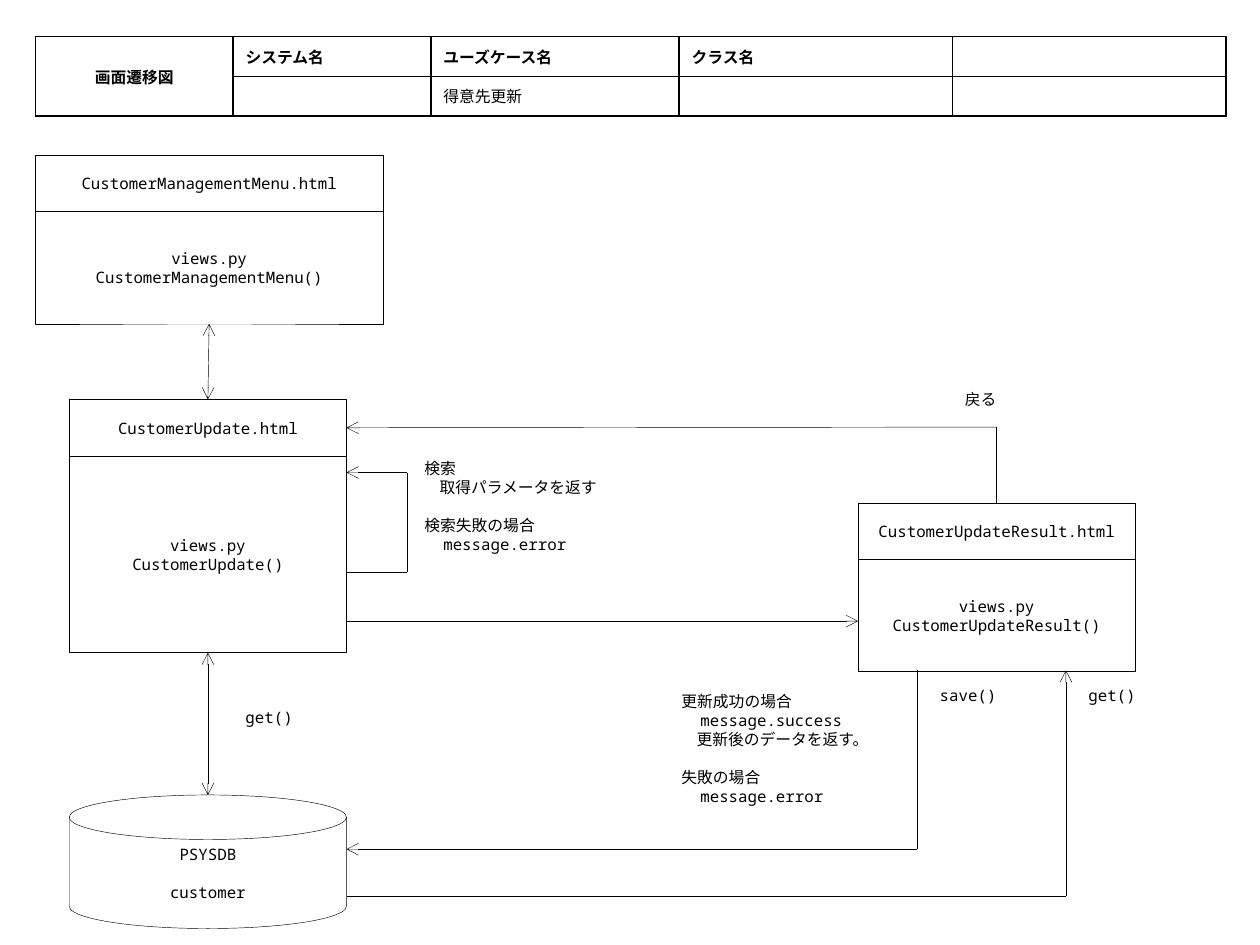
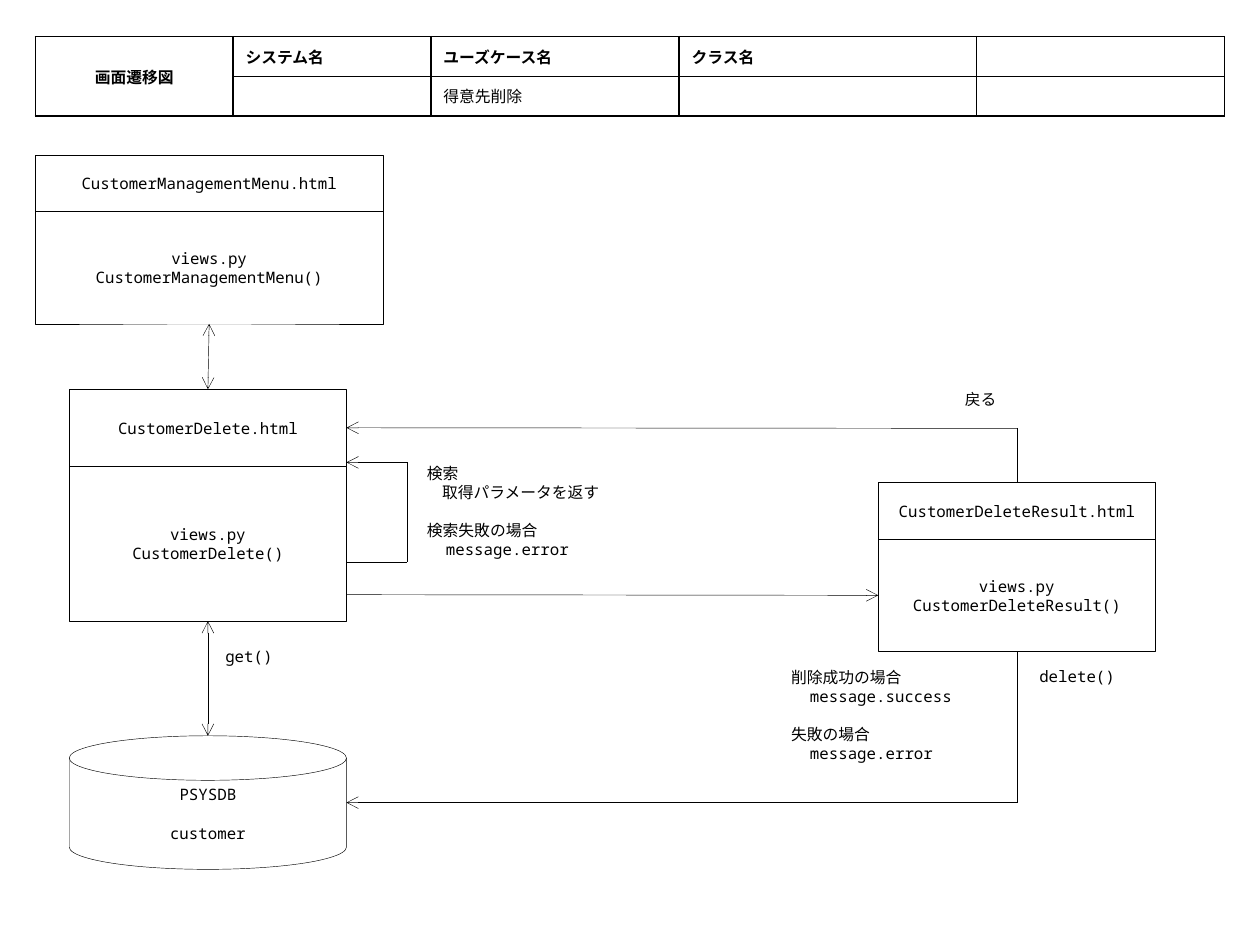
from lxml.etree import SubElement
from pptx import Presentation
from pptx.dml.color import RGBColor
from pptx.enum.shapes import MSO_CONNECTOR, MSO_SHAPE
from pptx.enum.text import MSO_ANCHOR as Anchor, PP_ALIGN as Align
from pptx.oxml.ns import qn
from pptx.util import Inches, Pt

BLACK, WHITE = "000000", "FFFFFF"
SANS, MONO = "Noto Sans CJK JP", "Noto Sans Mono"
TEXT_SIZE = 9
BLANK_LINE = 11
HAIRLINE = 0.25
LEFT_MARGIN = 0.28
MENU_WIDTH, SCREEN_WIDTH = 2.76, 2.2
SCREEN_LEFT = 0.55
SCREEN_RIGHT = SCREEN_LEFT + SCREEN_WIDTH
SCREEN_MIDDLE = SCREEN_LEFT + SCREEN_WIDTH / 2
TITLE_HEIGHT, BODY_HEIGHT = 0.45, 0.89
MENU_TOP = 1.23
MENU_BOTTOM = MENU_TOP + TITLE_HEIGHT + BODY_HEIGHT
DISK_HEIGHT = 1.06
LOOP_RIGHT, LOOP_HEIGHT = 3.23, 0.79
KANA_INDENT, CODE_INDENT = 0.12, 0.15
TOP, LEFT, BOTTOM, RIGHT = 0, 1, 2, 3

SEARCH_NOTE = [
    ("検索", 0, 0),
    ("取得パラメータを返す", KANA_INDENT, 0),
    ("検索失敗の場合", 0, BLANK_LINE),
    ("message.error", CODE_INDENT, 0),
]
FAILURE_NOTE = [
    ("失敗の場合", 0, BLANK_LINE),
    ("message.error", CODE_INDENT, 0),
]
UPDATE_NOTE = [
    ("更新成功の場合", 0, 0),
    ("message.success", CODE_INDENT, 0),
    ("更新後のデータを返す。", KANA_INDENT, 0),
] + FAILURE_NOTE
DELETE_NOTE = [
    ("削除成功の場合", 0, 0),
    ("message.success", CODE_INDENT, 0),
] + FAILURE_NOTE


def rgb(value):
    return RGBColor.from_string(value)


def style(paragraph, face, bold=False, align=Align.LEFT):
    paragraph.alignment = align
    font = paragraph.font
    font.size, font.name, font.bold = Pt(TEXT_SIZE), face, bold
    font.color.rgb = rgb(BLACK)
    defaults = paragraph._p.pPr.find(qn("a:defRPr"))
    SubElement(defaults, qn("a:ea"), typeface=SANS)
    if not paragraph.text:
        SubElement(paragraph._p, qn("a:endParaRPr"), sz=str(TEXT_SIZE * 100))


def write(frame, lines, align):
    frame.word_wrap = True
    for number, (text, indent, gap) in enumerate(lines):
        paragraph = frame.add_paragraph() if number else frame.paragraphs[0]
        paragraph.text = text
        if indent:
            properties = paragraph._p.get_or_add_pPr()
            properties.set("marL", str(Inches(indent)))
            properties.set("indent", "0")
        if gap:
            paragraph.space_before = Pt(gap)
        style(paragraph, MONO, align=align)


def box(slide, left, top, width, height, lines, kind=MSO_SHAPE.RECTANGLE):
    shape = slide.shapes.add_shape(
        kind, Inches(left), Inches(top), Inches(width), Inches(height))
    shape.shadow.inherit = False
    shape.fill.solid()
    shape.fill.fore_color.rgb = rgb(WHITE)
    shape.line.color.rgb = rgb(BLACK)
    shape.line.width = Pt(HAIRLINE)
    shape.text_frame.vertical_anchor = Anchor.MIDDLE
    write(shape.text_frame, lines, Align.CENTER)
    return shape


def note(slide, left, top, width, height, lines, anchor=Anchor.TOP):
    area = slide.shapes.add_textbox(
        Inches(left), Inches(top), Inches(width), Inches(height))
    area.fill.solid()
    area.fill.fore_color.rgb = rgb(WHITE)
    area.text_frame.vertical_anchor = anchor
    write(area.text_frame, lines, Align.LEFT)


def label(slide, left, top, text):
    note(slide, left, top, 0.87, 0.24, [(text, 0, 0)], Anchor.MIDDLE)


def route(slide, points, start=None, end=None, both_ways=False):
    legs = list(zip(points, points[1:]))
    for number, (origin, target) in enumerate(legs):
        leg = slide.shapes.add_connector(
            MSO_CONNECTOR.STRAIGHT, *[Inches(n) for n in origin + target])
        leg.line.color.rgb = rgb(BLACK)
        leg.line.width = Pt(HAIRLINE)
        properties = leg._element.spPr
        outline = properties.find(qn("a:ln"))
        is_last = number == len(legs) - 1
        if both_ways:
            SubElement(outline, qn("a:headEnd"), type="arrow")
        if is_last:
            SubElement(outline, qn("a:tailEnd"), type="arrow")
        SubElement(properties, qn("a:effectLst"))
        if start and number == 0:
            leg.begin_connect(*start)
        if end and is_last:
            leg.end_connect(*end)


def screen(slide, left, top, width, name,
           title_height=TITLE_HEIGHT, body_height=BODY_HEIGHT):
    title = box(slide, left, top, width, title_height, [(f"{name}.html", 0, 0)])
    body = box(slide, left, top + title_height, width, body_height,
               [("views.py", 0, 0), (f"{name}()", 0, 0)])
    return title, body


def border(cell):
    properties = cell._tc.get_or_add_tcPr()
    for position, side in enumerate(("lnL", "lnR", "lnT", "lnB")):
        edge = properties.makeelement(qn(f"a:{side}"), {"w": str(Pt(1))})
        fill = SubElement(edge, qn("a:solidFill"))
        SubElement(fill, qn("a:srgbClr"), val=BLACK)
        properties.insert(position, edge)


def header(slide, use_case, widths):
    rows = [
        ["画面遷移図", "システム名", "ユーズケース名", "クラス名", ""],
        ["", "", use_case, "", ""],
    ]
    table = slide.shapes.add_table(
        len(rows), len(widths), Inches(LEFT_MARGIN), Inches(0.29),
        Inches(sum(widths)), Inches(0.63)).table
    table.first_row = table.horz_banding = False
    for column, width in zip(table.columns, widths):
        column.width = Inches(width)
    for r, texts in enumerate(rows):
        for c, text in enumerate(texts):
            cell = table.cell(r, c)
            cell.text = text
            cell.vertical_anchor = Anchor.MIDDLE
            cell.fill.solid()
            cell.fill.fore_color.rgb = rgb(WHITE)
            style(cell.text_frame.paragraphs[0], SANS, bold=r == 0,
                  align=Align.LEFT if c else Align.CENTER)
            border(cell)
    table.cell(0, 0).merge(table.cell(1, 0))


def main_column(slide, name, top, title_height, body_height, disk_top):
    _, menu_body = screen(slide, LEFT_MARGIN, MENU_TOP, MENU_WIDTH,
                          "CustomerManagementMenu")
    title, body = screen(slide, SCREEN_LEFT, top, SCREEN_WIDTH, name,
                         title_height, body_height)
    box(slide, SCREEN_LEFT, disk_top, SCREEN_WIDTH, DISK_HEIGHT,
        [("PSYSDB", 0, 0), ("customer", 0, BLANK_LINE)],
        MSO_SHAPE.FLOWCHART_MAGNETIC_DISK)
    route(slide, [(SCREEN_MIDDLE, MENU_BOTTOM), (SCREEN_MIDDLE, top)],
          (menu_body, BOTTOM), (title, TOP), both_ways=True)
    route(slide, [(SCREEN_MIDDLE, top + title_height + body_height),
                  (SCREEN_MIDDLE, disk_top)],
          (body, BOTTOM), both_ways=True)
    return title


def search_loop(slide, top, note_left, note_top):
    bottom = top + LOOP_HEIGHT
    route(slide, [(SCREEN_RIGHT, bottom), (LOOP_RIGHT, bottom),
                  (LOOP_RIGHT, top), (SCREEN_RIGHT, top)])
    note(slide, note_left, note_top, 1.79, 0.91, SEARCH_NOTE)


def result_screen(slide, left, top, name, main_title, return_y):
    title, body = screen(slide, left, top, SCREEN_WIDTH, name)
    middle = left + SCREEN_WIDTH / 2
    route(slide, [(middle, top), (middle, return_y), (SCREEN_RIGHT, return_y)],
          (title, TOP), (main_title, RIGHT))
    label(slide, 7.56, 3.05, "戻る")
    return body


def update_slide(slide):
    header(slide, "得意先更新", [1.57, 1.57, 1.97, 2.17, 2.17])
    main_title = main_column(slide, "CustomerUpdate", 3.17, 0.45, 1.56, 6.31)
    search_loop(slide, 3.75, 3.27, 3.59)
    result_left, result_bottom = 6.81, 5.32
    result_screen(slide, result_left, 3.99, "CustomerUpdateResult",
                  main_title, 3.39)
    route(slide, [(SCREEN_RIGHT, 4.93), (result_left, 4.93)])
    route(slide, [(7.28, result_bottom), (7.28, 6.74), (SCREEN_RIGHT, 6.74)])
    route(slide, [(SCREEN_RIGHT, 7.11), (8.46, 7.11), (8.46, result_bottom)])
    note(slide, 5.31, 5.44, 1.85, 1.22, UPDATE_NOTE)
    label(slide, 1.85, 5.57, "get()")
    label(slide, 7.36, 5.4, "save()")
    label(slide, 8.54, 5.4, "get()")


def delete_slide(slide):
    header(slide, "得意先削除", [1.57, 1.57, 1.97, 2.36, 1.97])
    main_title = main_column(slide, "CustomerDelete", 3.09, 0.61, 1.23, 5.84)
    search_loop(slide, 3.67, 3.29, 3.63)
    result_left, result_bottom = 6.97, 5.17
    result_body = result_screen(slide, result_left, 3.83,
                                "CustomerDeleteResult", main_title, 3.4)
    route(slide, [(SCREEN_RIGHT, 4.72), (result_left, 4.72)],
          end=(result_body, LEFT))
    middle = result_left + SCREEN_WIDTH / 2
    route(slide, [(middle, result_bottom), (middle, 6.37), (SCREEN_RIGHT, 6.37)],
          (result_body, BOTTOM))
    note(slide, 6.18, 5.25, 1.61, 0.98, DELETE_NOTE)
    label(slide, 1.69, 5.09, "get()")
    label(slide, 8.15, 5.25, "delete()")


def main():
    deck = Presentation()
    deck.slide_width, deck.slide_height = Inches(10), Inches(7.5)
    for build in (update_slide, delete_slide):
        build(deck.slides.add_slide(deck.slide_layouts[6]))
    deck.save("out.pptx")


if __name__ == "__main__":
    main()
